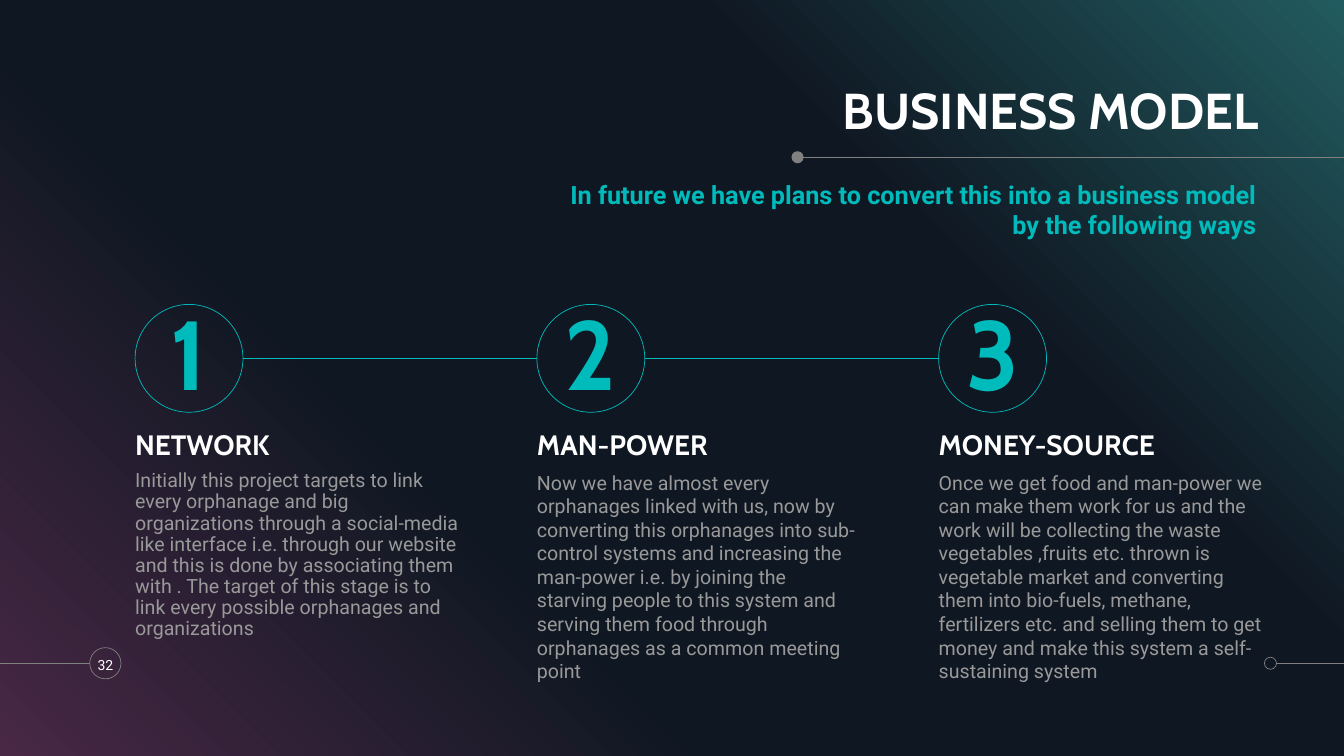
from copy import deepcopy

from pptx import Presentation
from pptx.dml.color import RGBColor
from pptx.enum import shapes, text
from pptx.oxml import ns
from pptx.oxml.xmlchemy import OxmlElement
from pptx.util import Inches, Pt

PURPLE = RGBColor(0x48, 0x28, 0x45)
NAVY = RGBColor(0x0F, 0x17, 0x22)
GREEN = RGBColor(0x22, 0x5B, 0x5F)
TEAL = RGBColor(0x00, 0xBB, 0xBB)
WHITE = RGBColor(0xFF, 0xFF, 0xFF)
GRAY = RGBColor(0x80, 0x80, 0x80)
LIGHT_GRAY = RGBColor(0x99, 0x99, 0x99)

LEFT, RIGHT, CENTER = text.PP_ALIGN.LEFT, text.PP_ALIGN.RIGHT, text.PP_ALIGN.CENTER
TOP, MIDDLE, BOTTOM = text.MSO_ANCHOR.TOP, text.MSO_ANCHOR.MIDDLE, text.MSO_ANCHOR.BOTTOM

SLIDE_W, SLIDE_H = 13.33, 7.5

# Text formats: font values, paragraph values, vertical anchor
TITLE = (dict(name="Cabin", size=Pt(36), bold=True), WHITE,
         dict(alignment=RIGHT, line_spacing=0.9, space_before=Pt(0)), BOTTOM)
SUBTITLE = (dict(name="Roboto", size=Pt(18), bold=True), TEAL,
            dict(alignment=RIGHT, line_spacing=1.0, space_before=Pt(10)), TOP)
NUMERAL = (dict(name="Cabin", size=Pt(70), bold=True), TEAL,
           dict(alignment=CENTER, line_spacing=0.9, space_before=Pt(10)), MIDDLE)
HEADING = (dict(name="Cabin", size=Pt(20), bold=True), WHITE,
           dict(alignment=LEFT, line_spacing=0.9, space_before=Pt(6)), BOTTOM)
PAGE = (dict(name="Roboto", size=Pt(10), bold=False), WHITE,
        dict(alignment=CENTER), MIDDLE)


def detail_format(spacing):
    return (dict(name="Roboto", size=Pt(14), bold=False), LIGHT_GRAY,
            dict(alignment=LEFT, line_spacing=spacing, space_before=Pt(6)), TOP)


# Heading, line spacing and detail of each stage
STAGES = [
    ("NETWORK", 0.9,
     "Initially this project targets to link every orphanage and big organizations "
     "through a social-media like interface i.e. through our website and this is done "
     "by associating them with . The target of this stage is to link every possible "
     "orphanages and organizations"),
    ("MAN-POWER", 1.0,
     "Now we have almost every orphanages linked with us, now by converting this "
     "orphanages into sub-control systems and increasing the man-power i.e. by joining "
     "the starving people to this system and serving them food through orphanages as a "
     "common meeting point"),
    ("MONEY-SOURCE", 1.0,
     "Once we get food and man-power we can make them work for us and the work will be "
     "collecting the waste vegetables ,fruits etc. thrown is vegetable market and "
     "converting them into bio-fuels, methane, fertilizers etc. and selling them to get "
     "money and make this system a self-sustaining system"),
]


def apply(target, values):
    for key, value in values.items():
        setattr(target, key, value)


def write(shape, words, style):
    font, color, paragraph_values, anchor = style
    frame = shape.text_frame
    frame.text = words
    apply(frame, dict(word_wrap=True, auto_size=text.MSO_AUTO_SIZE.NONE,
                      vertical_anchor=anchor, margin_left=0, margin_right=0,
                      margin_top=0, margin_bottom=0))
    paragraph = frame.paragraphs[0]
    apply(paragraph, paragraph_values)
    apply(paragraph.runs[0].font, font)
    paragraph.runs[0].font.color.rgb = color


def place(shape, left, top, width, height):
    apply(shape, dict(left=Inches(left), top=Inches(top),
                      width=Inches(width), height=Inches(height)))


def add_text(slide, box, words, style):
    write(slide.shapes.add_textbox(*map(Inches, box)), words, style)


def add_rule(slide, x1, x2, y, color):
    rule = slide.shapes.add_connector(shapes.MSO_CONNECTOR.STRAIGHT,
                                      *map(Inches, (x1, y, x2, y)))
    rule.line.color.rgb = color
    rule.line.width = Pt(0.5)
    rule._element.spPr.append(OxmlElement("a:effectLst"))


def add_circle(slide, left, top, size, color, filled=False):
    circle = slide.shapes.add_shape(shapes.MSO_SHAPE.OVAL,
                                    *map(Inches, (left, top, size, size)))
    circle.shadow.inherit = False
    if filled:
        circle.fill.solid()
        circle.fill.fore_color.rgb = color
        circle.line.fill.background()
    else:
        circle.fill.background()
        circle.line.color.rgb = color
        circle.line.width = Pt(0.5)
    return circle


def paint_background(slide):
    fill = slide.background.fill
    fill.gradient()
    fill.gradient_angle = 45
    stop_list = next(slide._element.iter(ns.qn("a:gsLst")))
    for _ in range(2):
        stop_list.append(deepcopy(stop_list[0]))
    stops = [(0, PURPLE), (0.34, NAVY), (0.69, NAVY), (1, GREEN)]
    for stop, (position, color) in zip(fill.gradient_stops, stops):
        stop.position = position
        stop.color.rgb = color


def add_header(slide, left, top, width):
    title, subtitle = slide.placeholders
    place(title, left, top, width, 0.62)
    write(title, "BUSINESS MODEL", TITLE)

    # Rule running off the right edge
    rule_y = top + 0.79
    add_rule(slide, left + 2.36, SLIDE_W, rule_y, GRAY)
    add_circle(slide, left + 2.27, rule_y - 0.06, 0.12, GRAY, filled=True)

    place(subtitle, left, top + 1.01, width - 0.02, 0.62)
    write(subtitle, "In future we have plans to convert this into a business model "
                    "by the following ways", SUBTITLE)
    properties = subtitle.text_frame.paragraphs[0]._p.get_or_add_pPr()
    properties.set("marL", "0")
    properties.set("indent", "0")
    properties.append(OxmlElement("a:buNone"))


def add_stages(slide, left, top, pitch, width):
    diameter = 1.07
    for index, (heading, spacing, detail) in enumerate(STAGES):
        x = left + index * pitch
        if index:
            add_rule(slide, x - pitch + diameter, x, top + 0.54, TEAL)
        write(add_circle(slide, x, top, diameter, TEAL), str(index + 1), NUMERAL)
        add_text(slide, (x, top + 1.2, width, 0.36), heading, HEADING)
        add_text(slide, (x, top + 1.65, width, 2.24), detail, detail_format(spacing))


def add_footer(slide, middle):
    # Page number at the left
    add_rule(slide, 0, 0.89, middle, GRAY)
    add_circle(slide, 0.89, middle - 0.155, 0.31, GRAY)
    add_text(slide, (0.85, middle - 0.15, 0.39, 0.33), "32", PAGE)

    # Ornament at the right
    add_circle(slide, 12.54, middle - 0.06, 0.12, GRAY)
    add_rule(slide, 12.66, SLIDE_W, middle, GRAY)


def main():
    deck = Presentation()
    deck.slide_width, deck.slide_height = Inches(SLIDE_W), Inches(SLIDE_H)
    slide = deck.slides.add_slide(deck.slide_layouts[1])
    paint_background(slide)
    add_header(slide, 5.58, 0.77, 6.9)
    add_stages(slide, 1.34, 3.02, 3.985, 3.22)
    add_footer(slide, 6.58)
    deck.save("out.pptx")


if __name__ == "__main__":
    main()
